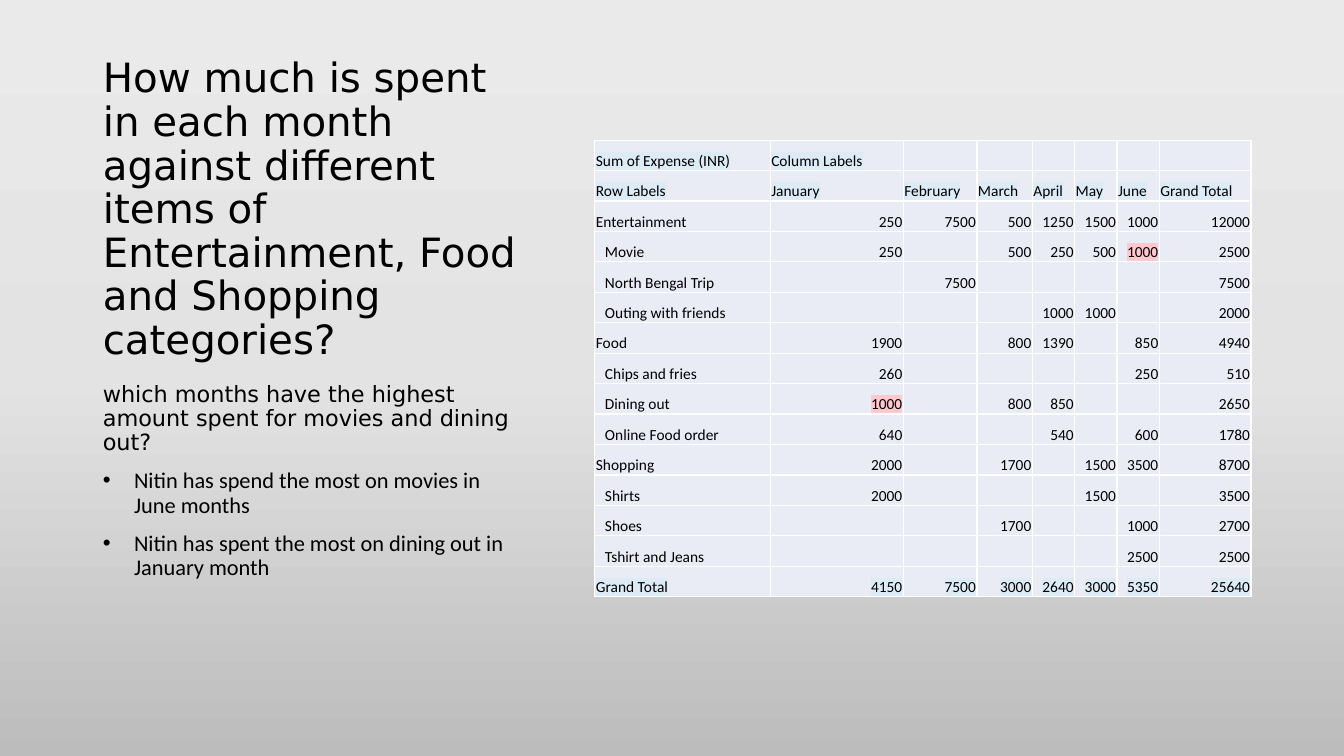
from copy import deepcopy
from lxml.etree import SubElement
from pptx import Presentation
from pptx.dml.color import RGBColor
from pptx.enum.text import MSO_ANCHOR as Anchor, MSO_AUTO_SIZE as AutoSize, PP_ALIGN as Align
from pptx.oxml.ns import qn
from pptx.util import Inches, Pt

TITLE = "How much is spent in each month against different items of Entertainment, Food and Shopping categories?"
QUESTION = "which months have the highest amount spent for movies and dining out?"
ANSWERS = [
    "Nitin has spend the most on movies in June months",
    "Nitin has spent the most on dining out in January month",
]
HEADERS = [
    ["Sum of Expense (INR)", "Column Labels", "", "", "", "", "", ""],
    ["Row Labels", "January", "February", "March", "April", "May", "June", "Grand Total"],
]
EXPENSES = [
    ("Entertainment", 250, 7500, 500, 1250, 1500, 1000, 12000),
    ("Movie", 250, "", 500, 250, 500, 1000, 2500),
    ("North Bengal Trip", "", 7500, "", "", "", "", 7500),
    ("Outing with friends", "", "", "", 1000, 1000, "", 2000),
    ("Food", 1900, "", 800, 1390, "", 850, 4940),
    ("Chips and fries", 260, "", "", "", "", 250, 510),
    ("Dining out", 1000, "", 800, 850, "", "", 2650),
    ("Online Food order", 640, "", "", 540, "", 600, 1780),
    ("Shopping", 2000, "", 1700, "", 1500, 3500, 8700),
    ("Shirts", 2000, "", "", "", 1500, "", 3500),
    ("Shoes", "", "", 1700, "", "", 1000, 2700),
    ("Tshirt and Jeans", "", "", "", "", "", 2500, 2500),
    ("Grand Total", 4150, 7500, 3000, 2640, 3000, 5350, 25640),
]
TOP_LEVEL = {"Entertainment", "Food", "Shopping", "Grand Total"}
PEAK_ROWS = {"Movie", "Dining out"}

BLACK = RGBColor(0x00, 0x00, 0x00)
WHITE = RGBColor(0xFF, 0xFF, 0xFF)
CELL = RGBColor(0xE9, 0xEB, 0xF5)
LABEL_MARK = RGBColor(0xDD, 0xEB, 0xF7)
PEAK_MARK = RGBColor(0xFF, 0xC7, 0xCE)
BACKDROP = [
    (0, RGBColor(0xEB, 0xEA, 0xEA)),
    (0.5, RGBColor(0xE4, 0xE3, 0xE3)),
    (1, RGBColor(0xBD, 0xBC, 0xBC)),
]
HEADING_FONT, BODY_FONT = "DejaVu Sans", "Calibri"

LEFT, TEXT_WIDTH, TEXT_HEIGHT = 0.92, 4.3, 2.91
TITLE_TOP, BODY_TOP = 0.74, 3.75
TABLE_LEFT, TABLE_TOP, TABLE_HEIGHT = 5.9, 1.39, 4.53
COLUMN_WIDTHS = [1.74, 1.32, 0.73, 0.55, 0.42, 0.42, 0.42, 0.91]


def add_span(para, text, size, font):
    span = para.add_run()
    span.text = text
    span.font.size = Pt(size)
    span.font.name = font
    span.font.color.rgb = BLACK
    return span


def place_text(box, top, anchor):
    box.left, box.top = Inches(LEFT), Inches(top)
    box.width, box.height = Inches(TEXT_WIDTH), Inches(TEXT_HEIGHT)
    frame = box.text_frame
    frame.auto_size = AutoSize.NONE
    frame.word_wrap = True
    frame.vertical_anchor = anchor
    return frame


def format_para(para, before, indent=0, bullet=None):
    para.alignment = Align.LEFT
    para.line_spacing = 0.9
    para.space_before = Pt(before)
    props = para._p.get_or_add_pPr()
    props.set("marL", str(Inches(indent)))
    props.set("indent", str(-Inches(indent)))
    if bullet:
        SubElement(props, qn("a:buFont"), typeface="Arial")
        SubElement(props, qn("a:buChar"), char=bullet)
    else:
        SubElement(props, qn("a:buNone"))


def paint_background(page):
    fill = page.background.fill
    fill.gradient()
    fill.gradient_angle = 270
    first = fill.gradient_stops[0]._gs
    first.addnext(deepcopy(first))
    for stop, (position, color) in zip(fill.gradient_stops, BACKDROP):
        stop.position = position
        stop.color.rgb = color


def add_border(cell):
    props = cell._tc.get_or_add_tcPr()
    for index, side in enumerate(("lnL", "lnR", "lnT", "lnB")):
        line = SubElement(props, qn(f"a:{side}"), w=str(Pt(1)))
        SubElement(SubElement(line, qn("a:solidFill")), qn("a:srgbClr"), val=str(WHITE))
        props.insert(index, line)


def mark_span(span, color):
    props = span._r.get_or_add_rPr()
    mark = SubElement(props, qn("a:highlight"))
    SubElement(mark, qn("a:srgbClr"), val=str(color))
    props.find(qn("a:solidFill")).addnext(mark)


def fill_cell(cell, value, indent, mark):
    cell.fill.solid()
    cell.fill.fore_color.rgb = CELL
    add_border(cell)
    cell.vertical_anchor = Anchor.BOTTOM
    cell.margin_left = Inches(indent)
    cell.margin_right = cell.margin_top = Inches(0.01)
    cell.margin_bottom = 0
    para = cell.text_frame.paragraphs[0]
    if value == "":
        SubElement(para._p, qn("a:endParaRPr"), sz="1100")
        return
    para.alignment = Align.RIGHT if isinstance(value, int) else Align.LEFT
    span = add_span(para, str(value), 11, BODY_FONT)
    if mark:
        mark_span(span, mark)


def mark_for(row, column):
    if row in HEADERS or row[0] == "Grand Total":
        return LABEL_MARK
    if row[0] in PEAK_ROWS and 0 < column < len(row) - 1:
        peak = max(amount for amount in row[1:-1] if amount != "")
        return PEAK_MARK if row[column] == peak else None
    return None


def add_expenses(page):
    rows = HEADERS + EXPENSES
    table = page.shapes.add_table(
        len(rows), len(COLUMN_WIDTHS), Inches(TABLE_LEFT), Inches(TABLE_TOP),
        Inches(sum(COLUMN_WIDTHS)), Inches(TABLE_HEIGHT),
    ).table
    table.first_row = table.horz_banding = False
    for column, width in zip(table.columns, COLUMN_WIDTHS):
        column.width = Inches(width)
    for r, row in enumerate(rows):
        nested = row not in HEADERS and row[0] not in TOP_LEVEL
        for c, value in enumerate(row):
            indent = 0.1 if nested and c == 0 else 0.01
            fill_cell(table.cell(r, c), value, indent, mark_for(row, c))


def main():
    deck = Presentation()
    deck.slide_width, deck.slide_height = Inches(13.33), Inches(7.5)
    page = deck.slides.add_slide(deck.slide_layouts[1])
    paint_background(page)

    title = place_text(page.shapes.title, TITLE_TOP, Anchor.BOTTOM).paragraphs[0]
    format_para(title, 0)
    add_span(title, TITLE, 28.8, HEADING_FONT)

    body = place_text(page.placeholders[1], BODY_TOP, Anchor.TOP)
    format_para(body.paragraphs[0], 10)
    add_span(body.paragraphs[0], QUESTION, 16, HEADING_FONT)
    for answer in ANSWERS:
        para = body.add_paragraph()
        format_para(para, 10, 0.31, "•")
        add_span(para, answer, 16, BODY_FONT)

    add_expenses(page)
    deck.save("out.pptx")


if __name__ == "__main__":
    main()
